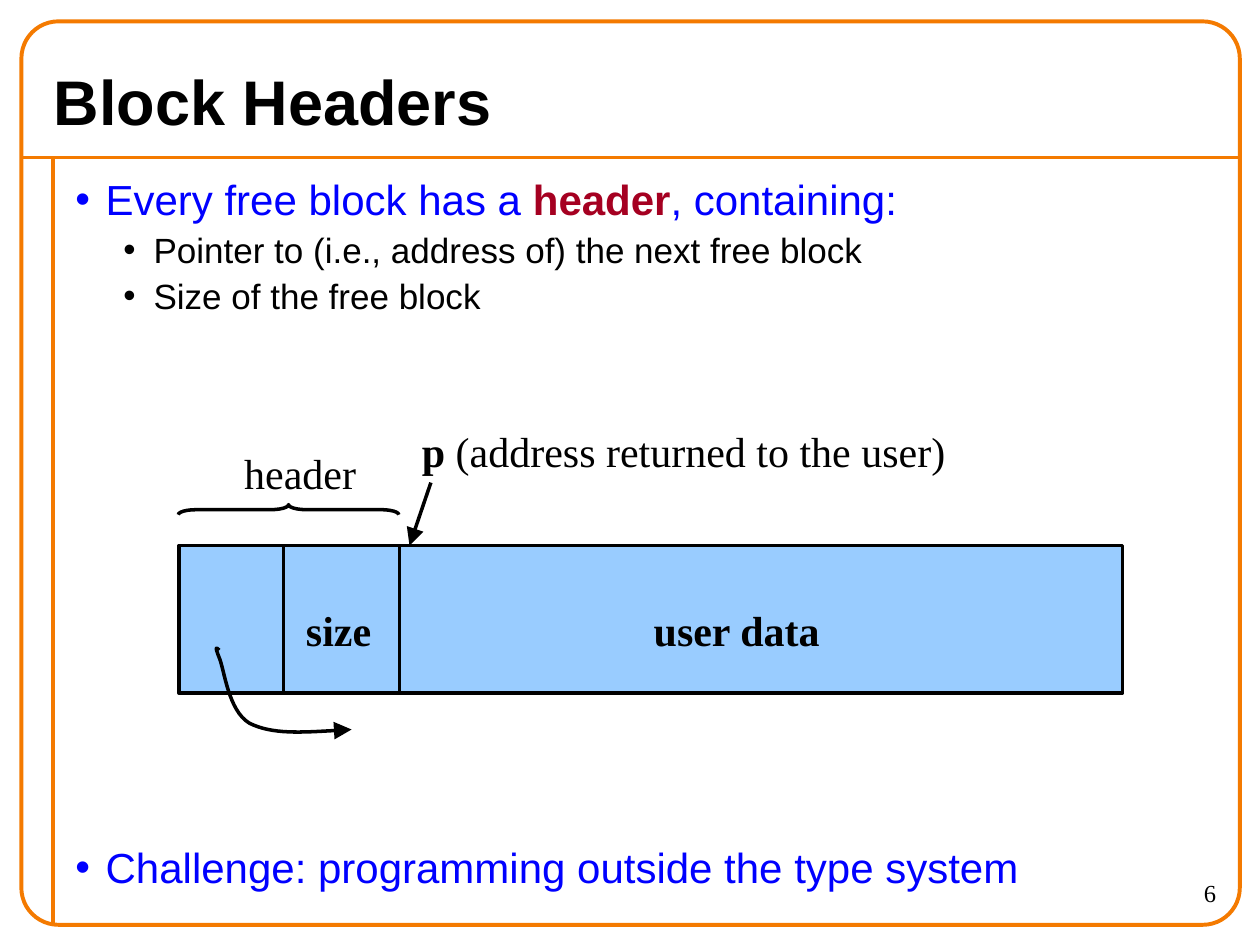
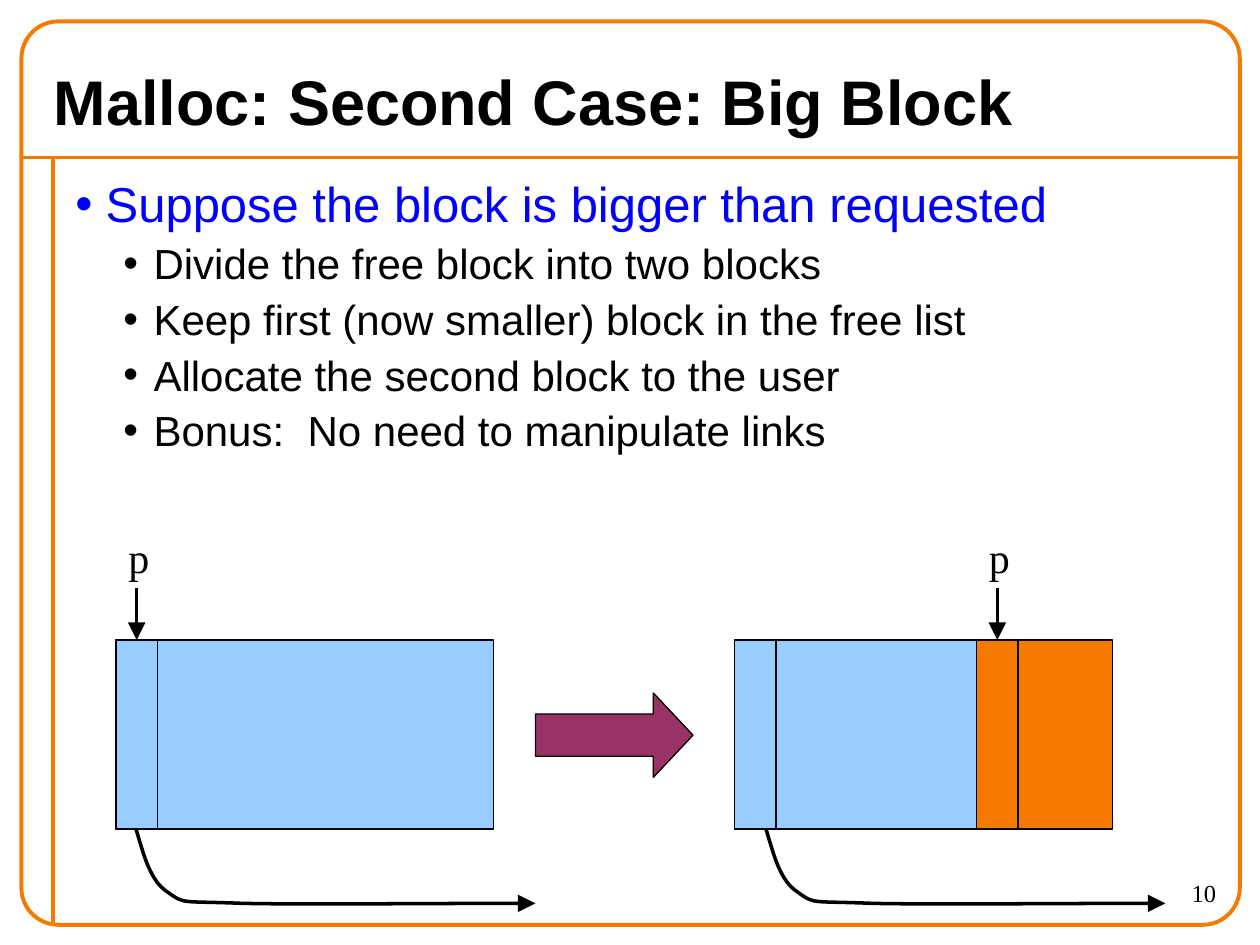
"""Build two slides on free-list block headers and splitting a big block."""
import pptx
import pptx.util
import pptx.dml.color
import pptx.enum.shapes
import pptx.enum.text
import pptx.oxml.ns
import lxml.etree

Inches, Pt = pptx.util.Inches, pptx.util.Pt
RGB = pptx.dml.color.RGBColor
KIND = pptx.enum.shapes.MSO_SHAPE
LINE = pptx.enum.shapes.MSO_CONNECTOR.STRAIGHT
ALIGN = pptx.enum.text.PP_ALIGN
qn = pptx.oxml.ns.qn
tag = lxml.etree.SubElement

BLACK = RGB(0x00, 0x00, 0x00)
ORANGE = RGB(0xF4, 0x7A, 0x00)
BLUE = RGB(0x00, 0x00, 0xFF)
RED = RGB(0xA5, 0x00, 0x21)
SKY = RGB(0x99, 0xCC, 0xFF)
PLUM = RGB(0x99, 0x33, 0x66)
SANS, SERIF = "Arial", "Times New Roman"


def ink(item, width, color=BLACK, fill=None, head=False):
    """Set line, fill and arrowhead, and drop the shadow."""
    if fill is not None:
        item.fill.solid()
        item.fill.fore_color.rgb = fill
    elif hasattr(item, "fill"):
        item.fill.background()
    item.line.width = Pt(width)
    item.line.color.rgb = color
    props = item.element.spPr
    if head:
        tag(props.find(qn("a:ln")), qn("a:tailEnd"),
            type="triangle", w="lg", len="lg")
    tag(props, qn("a:effectLst"))


def note(slide, at, rows, face=SERIF, wrap=False):
    """Add a text box; a row is level, size, space before, runs."""
    frame = slide.shapes.add_textbox(*map(Inches, at)).text_frame
    frame.word_wrap = wrap
    for i, (level, size, gap, runs) in enumerate(rows):
        para = frame.paragraphs[0] if i == 0 else frame.add_paragraph()
        if level is not None:
            props = para._p.get_or_add_pPr()
            props.set("marL", str(Inches((0.24, 0.62)[level])))
            props.set("indent", str(Inches(-0.24)))
            shade = tag(props, qn("a:buClr"))
            tag(shade, qn("a:srgbClr"), val=str((BLUE, BLACK)[level]))
            tag(props, qn("a:buFont"), typeface=SANS)
            tag(props, qn("a:buChar"), char="•")
        if gap:
            para.space_before = Pt(gap)
        for words, color, bold in runs:
            run = para.add_run()
            run.text = words
            run.font.name = face
            run.font.size = Pt(size)
            run.font.bold = bold
            run.font.color.rgb = color
    return frame


deck = pptx.Presentation()
deck.slide_width, deck.slide_height = Inches(10), Inches(7.5)

HEADS = [(0, 24, 0, [("Every free block has a ", BLUE, False),
                     ("header", RED, True),
                     (", containing:", BLUE, False)])]
for words in ("Pointer to (i.e., address of) the next free block",
              "Size of the free block"):
    HEADS.append((1, 20, 2.5, [(words, BLACK, False)]))
HEADS.append((0, 24, 300, [("Challenge: programming outside the type system",
                            BLUE, False)]))

SPLIT = [(0, 28, 0, [("Suppose the block is bigger than requested",
                      BLUE, False)])]
for words in ("Divide the free block into two blocks",
              "Keep first (now smaller) block in the free list",
              "Allocate the second block to the user",
              "Bonus:  No need to manipulate links"):
    SPLIT.append((1, 24, 3, [(words, BLACK, False)]))

slides = []
for title, number, body in (("Block Headers", "6", HEADS),
                            ("Malloc: Second Case: Big Block", "10", SPLIT)):
    slide = deck.slides.add_slide(deck.slide_layouts[6])
    slides.append(slide)
    for ends in ((0.17, 1.25, 9.83, 1.25), (0.42, 1.25, 0.42, 7.33)):
        ink(slide.shapes.add_connector(LINE, *map(Inches, ends)), 2.25, ORANGE)
    border = slide.shapes.add_shape(
        KIND.ROUNDED_RECTANGLE, *map(Inches, (0.17, 0.17, 9.67, 7.17)))
    border.adjustments[0] = 0.041
    ink(border, 2.25, ORANGE)
    page = note(slide, (8.75, 6.92, 1, 0.42),
                [(None, 14, 0, [(number, BLACK, False)])], wrap=True)
    page.paragraphs[0].alignment = ALIGN.RIGHT
    top = note(slide, (0.33, 0.42, 9.33, 0.75),
               [(None, 36, 0, [(title, BLACK, True)])], SANS, True)
    top.vertical_anchor = pptx.enum.text.MSO_ANCHOR.MIDDLE
    note(slide, (0.5, 1.33, 9.25, 6), body, SANS, True)

first, second = slides

for left, wide in ((2.06, 6.85), (1.42, 0.83), (2.25, 0.92)):
    cell = first.shapes.add_shape(
        KIND.RECTANGLE, *map(Inches, (left, 4.33, wide, 1.17)))
    ink(cell, 2, fill=SKY)

brace = first.shapes.add_shape(
    KIND.LEFT_BRACE, *map(Inches, (2.25, 3.17, 0.08, 1.75)))
brace.adjustments[0] = 1.75
brace.rotation = 90
ink(brace, 2)

for at, runs in (
        ((2.33, 4.75, 0.8, 0.5), [("size", BLACK, True)]),
        ((5.09, 4.75, 1.7, 0.5), [("user data", BLACK, True)]),
        ((3.25, 3.33, 4.8, 0.5), [
            ("p ", BLACK, True),
            ("(address returned to the user)", BLACK, False)]),
        ((1.84, 3.5, 1.2, 0.5), [("header", BLACK, False)])):
    note(first, at, [(None, 24, 0, runs)])

ink(first.shapes.add_connector(
    LINE, *map(Inches, (3.42, 3.83, 3.25, 4.33))), 2, head=True)

for left, wide, user in ((0.92, 3, 0.92), (5.83, 1.92, 7.75)):
    cells = [(left, wide, SKY), (left, 0.33, SKY)]
    if user != left:
        cells += [(user + 0.33, 0.75, ORANGE), (user, 0.33, ORANGE)]
    for start, span, color in cells:
        cell = second.shapes.add_shape(
            KIND.RECTANGLE, *map(Inches, (start, 5.08, span, 1.5)))
        ink(cell, 0.75, fill=color)
    middle = Inches(user + 0.33 / 2)
    arrow = second.shapes.add_connector(
        LINE, middle, Inches(4.67), middle, Inches(5.08))
    arrow.end_connect(cell, 0)
    ink(arrow, 2, head=True)
    note(second, (user, 4.17, 0.4, 0.5),
         [(None, 24, 0, [("p", BLACK, False)])])

split = second.shapes.add_shape(
    KIND.RIGHT_ARROW, *map(Inches, (4.25, 5.5, 1.25, 0.67)))
split.adjustments[1] = 0.47
ink(split, 0.75, fill=PLUM)

HOOK = [(1.74, 5.16), (1.72, 5.14), (1.7, 5.12), (1.74, 5.22),
        (1.78, 5.31), (1.81, 5.64), (1.98, 5.74),
        (2.16, 5.83), (2.47, 5.81), (2.79, 5.79)]
LINK = [(0, 6.58), (0.06, 6.78), (0.11, 6.99), (0.25, 7.08),
        (0.39, 7.18), (0.35, 7.15), (0.84, 7.17),
        (1.32, 7.18), (2.25, 7.17), (3.17, 7.17)]
for slide, shift, curve in ((first, 0, HOOK), (second, 1.08, LINK),
                            (second, 6.08, LINK)):
    dots = [(Inches(x + shift), Inches(y)) for x, y in curve]
    pen = slide.shapes.build_freeform(*dots[0], scale=1.0)
    pen.add_line_segments(dots[1:], close=False)
    link = pen.convert_to_shape()
    steps = list(link.element.iter(qn("a:lnTo")))
    for i in range(0, len(steps), 3):
        bend = tag(steps[i].getparent(), qn("a:cubicBezTo"))
        for step in steps[i:i + 3]:
            bend.append(step[0])
            step.getparent().remove(step)
    ink(link, 2, head=True)

deck.save("out.pptx")
